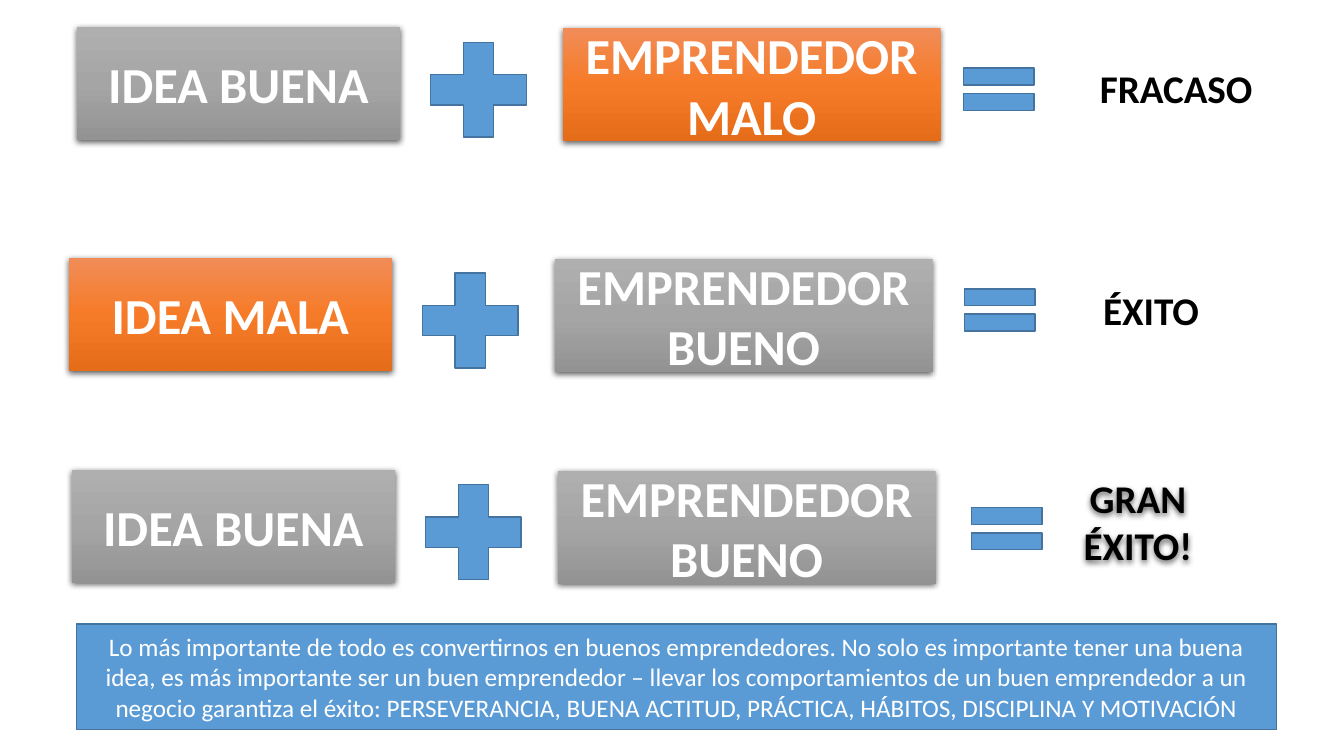
from lxml.etree import SubElement
from pptx import Presentation
from pptx.dml.color import RGBColor
from pptx.enum.shapes import MSO_SHAPE
from pptx.enum.text import MSO_ANCHOR, MSO_AUTO_SIZE, PP_ALIGN
from pptx.oxml.ns import qn
from pptx.util import Pt

PX = 9144
BLUE, BLUE_EDGE, WHITE, BLACK = "5B9BD5", "43739E", "FFFFFF", "000000"
GRAY = ["AFAFAF", "A5A5A5", "939393"]
ORANGE = ["F18C57", "F67B28", "E56C19"]
HEADING = {"size": Pt(36), "bold": True}
RESULT = {"size": Pt(28), "bold": True}
BODY = {"size": Pt(18), "bold": False}

IDEA_W, PERSON_W, BOX_H = 321, 375, 112
PLUS_DX, PERSON_DX = 334, 482

ROWS = [
    (76, 27, "IDEA BUENA", GRAY, "EMPRENDEDOR MALO", ORANGE, 943, 53),
    (68, 256, "IDEA MALA", ORANGE, "EMPRENDEDOR BUENO", GRAY, 944, 272),
    (71, 466, "IDEA BUENA", GRAY, "EMPRENDEDOR BUENO", GRAY, 951, 489),
]
MESSAGE = (
    "Lo más importante de todo es convertirnos en buenos emprendedores. "
    "No solo es importante tener una buena idea, es más importante ser un buen "
    "emprendedor – llevar los comportamientos de un buen emprendedor a un negocio "
    "garantiza el éxito: PERSEVERANCIA, BUENA ACTITUD, PRÁCTICA, HÁBITOS, "
    "DISCIPLINA Y MOTIVACIÓN"
)


def rgb(value):
    return RGBColor.from_string(value)


def px(*lengths):
    return [n * PX for n in lengths]


def write(sp, text, fmt, color):
    tf = sp.text_frame
    tf.word_wrap = True
    p = tf.paragraphs[0]
    p.alignment = PP_ALIGN.CENTER
    r = p.add_run()
    r.text = text
    for name, value in {"name": "Calibri", **fmt}.items():
        setattr(r.font, name, value)
    r.font.color.rgb = rgb(color)


def add_shadow(sp):
    effects = sp._element.spPr.find(qn("a:effectLst"))
    shadow = SubElement(effects, qn("a:outerShdw"), blurRad=str(Pt(4.5)),
                        dist=str(Pt(1.5)), dir="5400000", rotWithShape="0")
    color = SubElement(shadow, qn("a:srgbClr"), val=BLACK)
    SubElement(color, qn("a:alpha"), val="63000")


def set_gradient(sp, colors):
    sp.fill.gradient()
    sp.fill.gradient_angle = 270
    stops = sp._element.spPr.find(qn("a:gradFill")).find(qn("a:gsLst"))
    for stop in list(stops):
        stops.remove(stop)
    for i, color in enumerate(colors):
        stop = SubElement(stops, qn("a:gs"), pos=str(i * 50000))
        SubElement(stop, qn("a:srgbClr"), val=color)


def add_plain(s, kind, *box):
    sp = s.shapes.add_shape(kind, *px(*box))
    sp.shadow.inherit = False
    sp.line.fill.background()
    sp.text_frame.vertical_anchor = MSO_ANCHOR.MIDDLE
    return sp


def add_blue(s, kind, *box):
    sp = add_plain(s, kind, *box)
    sp.fill.solid()
    sp.fill.fore_color.rgb = rgb(BLUE)
    sp.line.color.rgb = rgb(BLUE_EDGE)
    sp.line.width = Pt(1)
    return sp


def add_term(s, text, colors, *box):
    sp = add_plain(s, MSO_SHAPE.RECTANGLE, *box)
    set_gradient(sp, colors)
    add_shadow(sp)
    write(sp, text, HEADING, WHITE)


def add_result(s, text, *box):
    sp = s.shapes.add_textbox(*px(*box))
    write(sp, text, RESULT, BLACK)
    sp.text_frame.auto_size = MSO_AUTO_SIZE.SHAPE_TO_FIT_TEXT


def add_burst(s, text, *box):
    sp = add_plain(s, MSO_SHAPE.EXPLOSION1, *box)
    sp.fill.background()
    add_shadow(sp)
    write(sp, text, RESULT, BLACK)


def main():
    prs = Presentation()
    prs.slide_width, prs.slide_height = px(1333, 750)
    s = prs.slides.add_slide(prs.slide_layouts[6])
    for x, y, idea, idea_fill, person, person_fill, equal_x, equal_y in ROWS:
        add_term(s, idea, idea_fill, x, y, IDEA_W, BOX_H)
        add_term(s, person, person_fill, x + PERSON_DX, y + 1, PERSON_W, BOX_H)
        add_blue(s, MSO_SHAPE.MATH_PLUS, x + PLUS_DX, y - 2, 129, 128)
        add_blue(s, MSO_SHAPE.MATH_EQUAL, equal_x, equal_y, 95, 71)
    add_burst(s, "GRAN ÉXITO!", 977, 398, 307, 255)
    add_result(s, "ÉXITO", 1057, 279, 169, 57)
    add_result(s, "FRACASO", 1067, 59, 199, 57)
    message = add_blue(s, MSO_SHAPE.RECTANGLE, 76, 619, 1190, 105)
    write(message, MESSAGE, BODY, WHITE)
    prs.save("out.pptx")


if __name__ == "__main__":
    main()
